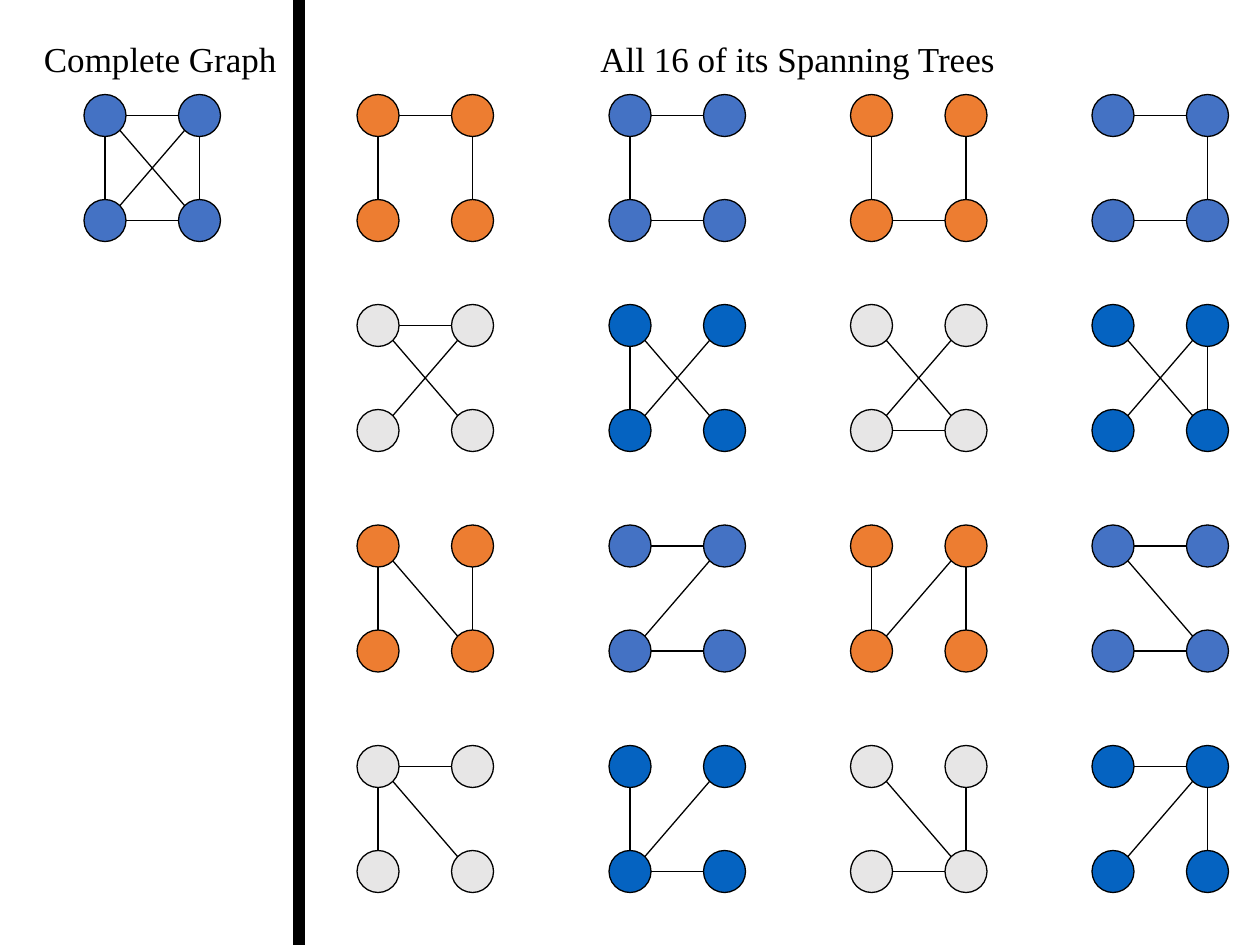
from math import sqrt

from pptx import Presentation
from pptx.dml.color import RGBColor
from pptx.enum.shapes import MSO_CONNECTOR as CONN, MSO_SHAPE as SHAPE
from pptx.enum.text import MSO_AUTO_SIZE as AUTO
from pptx.oxml.ns import qn
from pptx.util import Pt

COLORS = {"black": "000000", "blue": "4472C4", "orange": "ED7D31",
          "gray": "E7E6E6", "navy": "0563C1"}
NODE, DX, DY = 24, 54, 60  # node diameter and spacing of the four nodes
LINE = 0.75

# Nodes as (column, row); each edge runs from one node to another.
EDGES = {
    "T": ((0, 0), (1, 0)),
    "L": ((0, 0), (0, 1)),
    "B": ((0, 1), (1, 1)),
    "R": ((1, 0), (1, 1)),
    "/": ((1, 0), (0, 1)),
    "\\": ((0, 0), (1, 1)),
}
COLUMNS = (204, 348, 486, 624)
ROWS = (54, 174, 300, 426)
TREES = (
    ("TLR", "TLB", "LBR", "TRB"),
    ("T/\\", "L/\\", "B/\\", "R/\\"),
    ("LR\\", "TB/", "LR/", "TB\\"),
    ("TL\\", "LB/", "BR\\", "TR/"),
)
ROW_COLORS = (("orange", "blue"), ("gray", "navy"))


def rgb(name):
    return RGBColor.from_string(COLORS[name])


def add_filled(slide, kind, x, y, w, h, color):
    sp = slide.shapes.add_shape(kind, Pt(x), Pt(y), Pt(w), Pt(h))
    sp.shadow.inherit = False
    sp.fill.solid()
    sp.fill.fore_color.rgb = rgb(color)
    sp.line.color.rgb = rgb("black")
    sp.line.width = Pt(LINE)


def add_edge(slide, x, y, start, end):
    """Join the rims of two nodes of the graph whose corner is at x, y."""
    (c1, r1), (c2, r2) = start, end
    sx, sy = c2 - c1, r2 - r1
    # Diagonals meet the rim at 45 degrees, the others at its extremes.
    reach = NODE / 2 / sqrt(abs(sx) + abs(sy))
    x1, y1 = (x + NODE / 2 + c1 * DX, y + NODE / 2 + r1 * DY)
    x2, y2 = x1 + sx * DX, y1 + sy * DY
    line = slide.shapes.add_connector(
        CONN.STRAIGHT, Pt(x1 + sx * reach), Pt(y1 + sy * reach),
        Pt(x2 - sx * reach), Pt(y2 - sy * reach))
    line.line.color.rgb = rgb("black")
    line.line.width = Pt(LINE)
    sp_pr = line._element.spPr
    sp_pr.append(sp_pr.makeelement(qn("a:effectLst"), {}))


def add_graph(slide, x, y, edges, color):
    for row in range(2):
        for col in range(2):
            add_filled(slide, SHAPE.OVAL, x + col * DX, y + row * DY,
                       NODE, NODE, color)
    for edge in edges:
        add_edge(slide, x, y, *EDGES[edge])


def add_heading(slide, x, y, w, h, text):
    tf = slide.shapes.add_textbox(Pt(x), Pt(y), Pt(w), Pt(h)).text_frame
    tf.word_wrap = True
    tf.auto_size = AUTO.SHAPE_TO_FIT_TEXT
    tf.text = text
    font = tf.paragraphs[0].runs[0].font
    font.name = "Times New Roman"
    font.size = Pt(20)
    font.color.rgb = rgb("black")


def add_complete_graph(slide, x, y):
    add_heading(slide, x, y, 150, 31, "Complete Graph")
    add_graph(slide, x + 30, y + 36, EDGES, "blue")


def add_spanning_trees(slide):
    add_heading(slide, 336, 18, 252, 31, "All 16 of its Spanning Trees")
    for i, (y, trees) in enumerate(zip(ROWS, TREES)):
        for j, (x, edges) in enumerate(zip(COLUMNS, trees)):
            add_graph(slide, x, y, edges, ROW_COLORS[i % 2][j % 2])


def main():
    prs = Presentation()
    prs.slide_width, prs.slide_height = Pt(720), Pt(540)
    slide = prs.slides.add_slide(prs.slide_layouts[6])
    add_complete_graph(slide, 18, 18)
    add_spanning_trees(slide)
    add_filled(slide, SHAPE.RECTANGLE, 168, 0, 6, 540, "black")
    prs.save("out.pptx")


if __name__ == "__main__":
    main()
